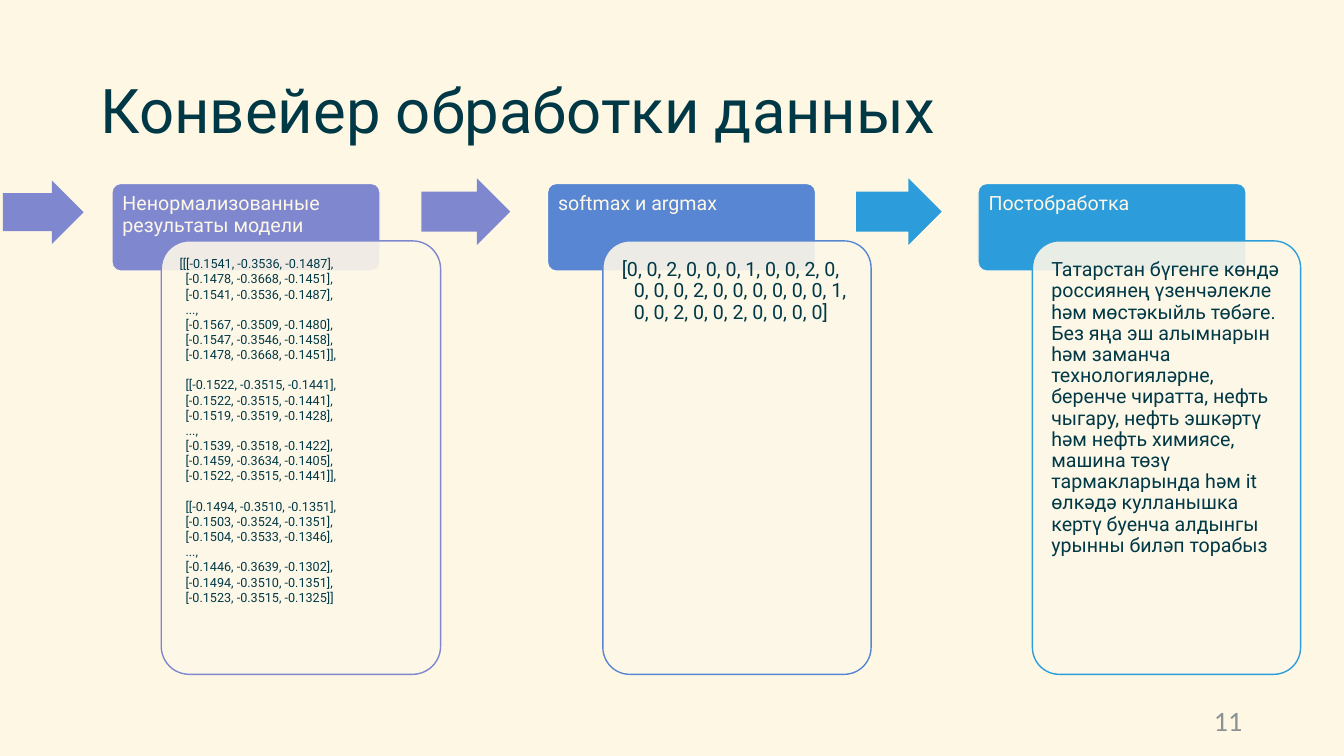
from pptx import Presentation
from pptx import util as u
from pptx.dml.color import RGBColor
from pptx.enum import shapes, text
from pptx.oxml.ns import qn
from lxml import etree

PX = 9144
CREAM = RGBColor(0xFE, 0xF7, 0xE3)
PAPER = RGBColor(0xFD, 0xF7, 0xE8)
INK = RGBColor(0x00, 0x38, 0x46)
GREY = RGBColor(0x8C, 0x91, 0x94)
VIOLET = RGBColor(0x7F, 0x87, 0xCF)
BLUE = RGBColor(0x58, 0x86, 0xD2)
SKY = RGBColor(0x2C, 0x9D, 0xDA)

LOGITS = [
    ["[[[-0.1541, -0.3536, -0.1487],", "[-0.1478, -0.3668, -0.1451],",
     "[-0.1541, -0.3536, -0.1487],", "...,", "[-0.1567, -0.3509, -0.1480],",
     "[-0.1547, -0.3546, -0.1458],", "[-0.1478, -0.3668, -0.1451]],"],
    ["[[-0.1522, -0.3515, -0.1441],", "[-0.1522, -0.3515, -0.1441],",
     "[-0.1519, -0.3519, -0.1428],", "...,", "[-0.1539, -0.3518, -0.1422],",
     "[-0.1459, -0.3634, -0.1405],", "[-0.1522, -0.3515, -0.1441]],"],
    ["[[-0.1494, -0.3510, -0.1351],", "[-0.1503, -0.3524, -0.1351],",
     "[-0.1504, -0.3533, -0.1346],", "...,", "[-0.1446, -0.3639, -0.1302],",
     "[-0.1494, -0.3510, -0.1351],", "[-0.1523, -0.3515, -0.1325]]"],
]
LABELS = ("[0, 0, 2, 0, 0, 0, 1, 0, 0, 2, 0, 0, 0, 0, 2, 0, 0, 0, 0, 0, 0, 1, "
          "0, 0, 2, 0, 0, 2, 0, 0, 0, 0]")
RESULT = ("Татарстан бүгенге көндә россиянең үзенчәлекле һәм мөстәкыйль төбәге. "
          "Без яңа эш алымнарын һәм заманча технологияләрне, беренче чиратта, "
          "нефть чыгару, нефть эшкәртү һәм нефть химиясе, машина төзү "
          "тармакларында һәм it өлкәдә кулланышка кертү буенча алдынгы урынны "
          "биләп торабыз")


class Deck:
    font = "Roboto"

    def __init__(self, width, height):
        self.prs = Presentation()
        self.prs.slide_width, self.prs.slide_height = width * PX, height * PX
        self.s = self.prs.slides.add_slide(self.prs.slide_layouts[6])
        fill = self.s.background.fill
        fill.solid()
        fill.fore_color.rgb = CREAM

    def set_text(self, sp, lines, size, color, inset, spacing=0.9, font=None,
                 align=text.PP_ALIGN.LEFT, anchor=text.MSO_ANCHOR.TOP):
        tf = sp.text_frame
        tf.word_wrap = True
        tf.vertical_anchor = anchor
        tf.margin_left = tf.margin_right = inset * PX
        tf.margin_top = tf.margin_bottom = inset * PX
        tf.text = "\n".join(lines)
        for p in tf.paragraphs:
            p.alignment = align
            p.line_spacing = spacing
            for r in p.runs:
                r.font.size = u.Pt(size)
                r.font.name = font or self.font
                r.font.color.rgb = color
        return tf.paragraphs

    def label(self, x, y, w, h, line, size, color, **style):
        sp = self.s.shapes.add_textbox(x * PX, y * PX, w * PX, h * PX)
        self.set_text(sp, [line], size, color, 10,
                      anchor=text.MSO_ANCHOR.MIDDLE, **style)

    def shape(self, kind, x, y, w, h, fill, line=None, adjust=(0.1,), alpha=None):
        sp = self.s.shapes.add_shape(kind, x * PX, y * PX, w * PX, h * PX)
        sp.shadow.inherit = False
        for i, value in enumerate(adjust):
            sp.adjustments[i] = value
        sp.fill.solid()
        sp.fill.fore_color.rgb = fill
        if alpha:
            clr = sp._element.spPr.find(qn("a:solidFill"))[0]
            etree.SubElement(clr, qn("a:alpha")).set("val", str(alpha * 1000))
        if line is None:
            sp.line.fill.background()
        else:
            sp.line.color.rgb = line
            sp.line.width = u.Pt(1)
        return sp

    def arrow(self, x, y, w, h, color):
        self.shape(shapes.MSO_SHAPE.RIGHT_ARROW, x, y, w, h, color,
                   adjust=(0.6, 0.5))

    def stage(self, x, card_x, card_w, color, title):
        kind = shapes.MSO_SHAPE.ROUNDED_RECTANGLE
        head = self.shape(kind, x, 182, 266, 87, color, PAPER)
        self.set_text(head, [title], 14, PAPER, 8)
        return self.shape(kind, card_x, 239, card_w, 430, PAPER, color, alpha=90)

    def indent(self, p, left, first=0):
        pPr = p._p.get_or_add_pPr()
        pPr.set("marL", str(left * PX))
        pPr.set("indent", str(first * PX))


def main():
    deck = Deck(1333, 750)
    deck.label(90, 40, 1150, 145, "Конвейер обработки данных", 44, INK)
    deck.label(942, 695, 300, 40, "11", 20, GREY, spacing=1.0, font="Calibri",
               align=text.PP_ALIGN.RIGHT)

    card = deck.stage(111, 160, 277, VIOLET, "Ненормализованные результаты модели")
    rows = [row for block in LOGITS for row in block]
    paragraphs = deck.set_text(card, rows, 9, INK, 7, spacing=1.0)
    for i, p in enumerate(paragraphs):
        deck.indent(p, 9 if i else 3)
        if i and i % len(LOGITS[0]) == 0:
            p.space_before = u.Pt(10.8)

    card = deck.stage(543, 598, 266, BLUE, "softmax и argmax")
    deck.indent(deck.set_text(card, [LABELS], 14, INK, 11)[0], 12, -12)

    card = deck.stage(970, 1024, 266, SKY, "Постобработка")
    deck.set_text(card, [RESULT], 14, INK, 11)

    deck.arrow(3, 179, 80, 63, VIOLET)
    deck.arrow(418, 177, 88, 66, VIOLET)
    deck.arrow(849, 177, 85, 66, SKY)
    deck.prs.save("out.pptx")


if __name__ == "__main__":
    main()
